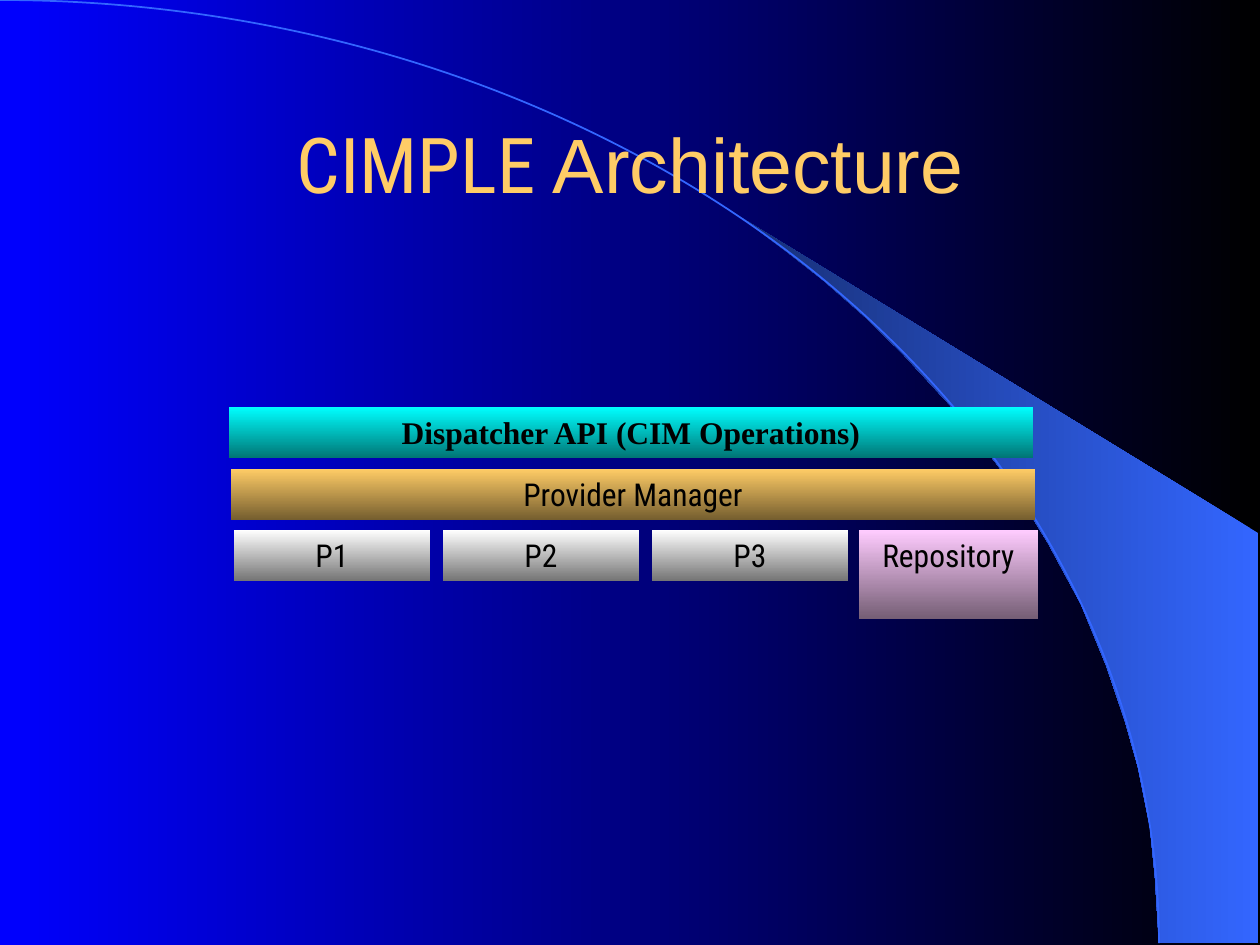
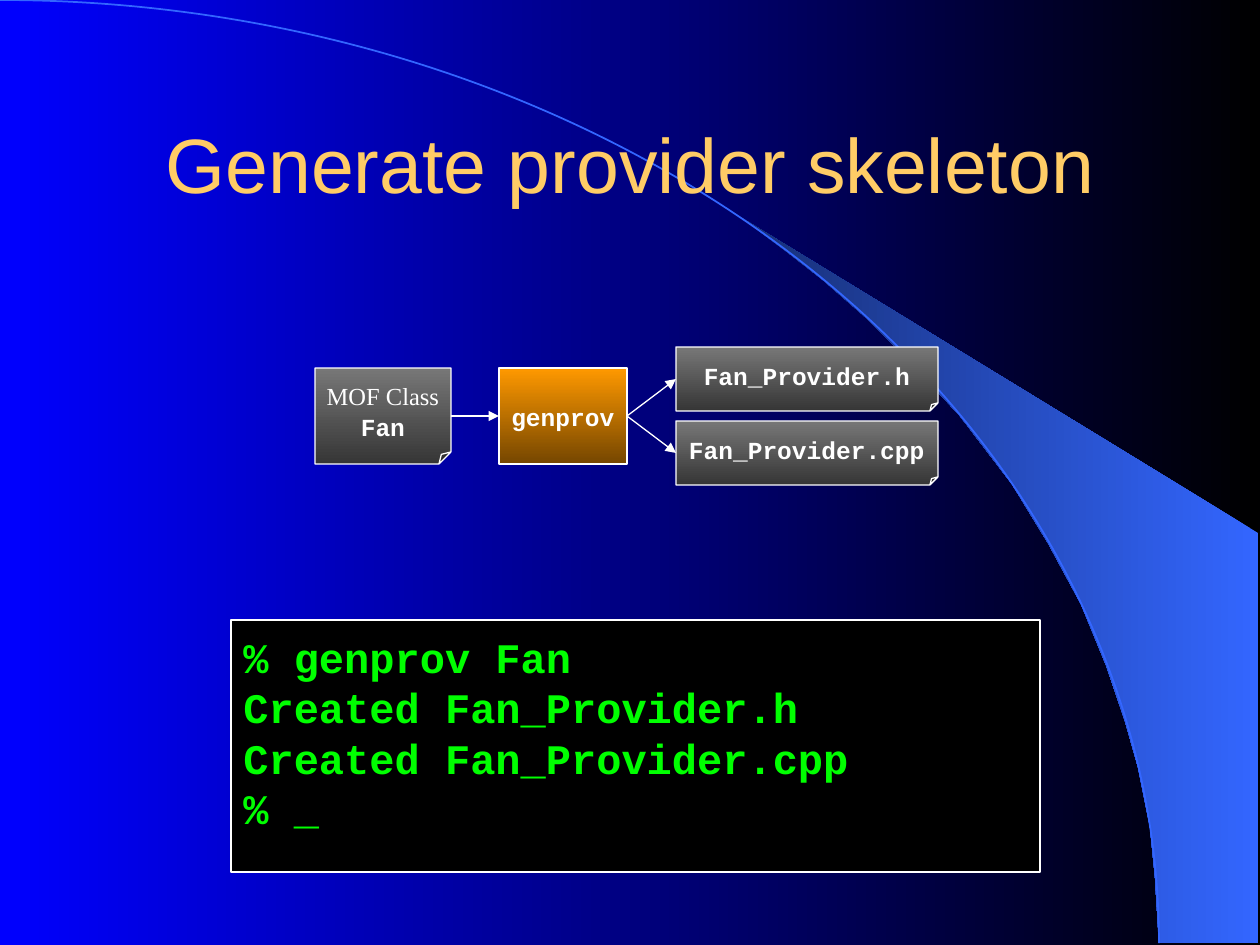
from lxml import etree
from pptx import Presentation
from pptx.dml.color import RGBColor
from pptx.enum.shapes import MSO_CONNECTOR, MSO_SHAPE
from pptx.enum.text import MSO_ANCHOR, PP_ALIGN
from pptx.oxml.ns import qn
from pptx.util import Pt

RECT, FOLDED, ARC = MSO_SHAPE.RECTANGLE, MSO_SHAPE.FOLDED_CORNER, MSO_SHAPE.ARC
STRAIGHT = MSO_CONNECTOR.STRAIGHT
TOP, MIDDLE = MSO_ANCHOR.TOP, MSO_ANCHOR.MIDDLE
LEFT, CENTER = PP_ALIGN.LEFT, PP_ALIGN.CENTER

EMU_PER_PX = 914400 / 126
TITLE_ONLY = 5

SANS, HEADING, SERIF, MONO = "Roboto Condensed", "Arial", "Times New Roman", "Courier New"
BLACK, WHITE, GOLD, BLUE, GREEN = "000000", "FFFFFF", "FFCC66", "3366FF", "00FF00"
FILE_FILL = ("777777", "363636")

# Light wedge between the curve and the right edge
WEDGE = [(1159, 943), (1258, 943), (1258, 533), (742, 218), (786, 251), (823, 280),
         (863, 315), (902, 353), (960, 416), (1012, 484), (1048, 543), (1081, 604),
         (1106, 665), (1125, 721), (1138, 767), (1150, 827), (1155, 877)]


def px(length):
    return round(length * EMU_PER_PX)


def rgb(value):
    return RGBColor.from_string(value)


def paint(fill, colour, angle=270):
    """Fill with one colour, or with a gradient when given a pair."""
    if isinstance(colour, str):
        fill.solid()
        fill.fore_color.rgb = rgb(colour)
        return
    fill.gradient()
    fill.gradient_angle = angle
    for stop, value in zip(fill.gradient_stops, colour):
        stop.color.rgb = rgb(value)


def outline(line, colour, width=0.75):
    line.color.rgb = rgb(colour)
    line.width = Pt(width)


def add_run(paragraph, text, font, size, colour, bold=False):
    run = paragraph.add_run()
    run.text = text
    run.font.name = font
    run.font.size = Pt(size)
    run.font.bold = bold
    run.font.color.rgb = rgb(colour)


def add_box(slide, kind, bounds, fill, lines, size, colour, border=None,
            anchor=MIDDLE, align=CENTER, spacing=None):
    """Draw a labelled box; lines holds (text, font, bold) for each paragraph."""
    box = slide.shapes.add_shape(kind, *map(px, bounds))
    box.shadow.inherit = False
    paint(box.fill, fill)
    if border:
        outline(box.line, border)
    else:
        box.line.fill.background()
    frame = box.text_frame
    frame.word_wrap = False
    frame.vertical_anchor = anchor
    for index, (text, font, bold) in enumerate(lines):
        paragraph = frame.add_paragraph() if index else frame.paragraphs[0]
        paragraph.alignment = align
        if spacing:
            paragraph.line_spacing = Pt(spacing)
        add_run(paragraph, text, font, size, colour, bold)
    return box


def add_layer(slide, bounds, fill, text, font=SANS, bold=False):
    add_box(slide, RECT, bounds, fill, [(text, font, bold)], 18, BLACK, anchor=TOP)


def add_step(slide, kind, bounds, fill, lines):
    step = add_box(slide, kind, bounds, fill, lines, 14, WHITE, WHITE, spacing=17.7)
    if kind == FOLDED:
        geometry = step.element.spPr.find(qn("a:prstGeom"))
        guides = geometry.find(qn("a:avLst"))
        if guides is None:
            guides = etree.SubElement(geometry, qn("a:avLst"))
        etree.SubElement(guides, qn("a:gd"), name="adj", fmla="val 12500")


def add_arrow(slide, start, end):
    arrow = slide.shapes.add_connector(STRAIGHT, *map(px, start + end))
    outline(arrow.line, WHITE)
    properties = arrow.element.spPr
    etree.SubElement(properties.find(qn("a:ln")), qn("a:tailEnd"), type="triangle")
    etree.SubElement(properties, qn("a:effectLst"))


def add_backdrop(slide):
    """Draw the wedge and the curve."""
    corners = [(px(x), px(y)) for x, y in WEDGE]
    builder = slide.shapes.build_freeform(*corners[0], scale=1.0)
    builder.add_line_segments(corners[1:], close=True)
    wedge = builder.convert_to_shape()
    wedge.shadow.inherit = False
    paint(wedge.fill, (BLUE, "172F75"), angle=180)
    wedge.line.fill.background()

    curve = slide.shapes.add_shape(ARC, px(-1159), 0, px(2318), px(1886))
    curve.shadow.inherit = False
    curve.fill.background()
    outline(curve.line, BLUE, 1)


def add_slide(prs, title_runs):
    """Start a slide with the shared backdrop and title style."""
    slide = prs.slides.add_slide(prs.slide_layouts[TITLE_ONLY])
    add_backdrop(slide)
    title = slide.shapes.title
    slide.shapes.element.append(title.element)  # bring above the backdrop
    title.left, title.top, title.width, title.height = map(px, (95, 84, 1071, 158))
    title.text_frame.vertical_anchor = MIDDLE
    paragraph = title.text_frame.paragraphs[0]
    paragraph.alignment = CENTER
    for text, font in title_runs:
        add_run(paragraph, text, font, 44, GOLD)
    return slide


def build_architecture(prs):
    slide = add_slide(prs, [("CIMPLE", SANS), (" Architecture", HEADING)])

    # Providers and repository
    for index in range(3):
        add_layer(slide, (234 + 209 * index, 530, 196, 51), (WHITE, "757575"), f"P{index + 1}")
    add_layer(slide, (859, 530, 179, 89), ("FFCCFF", "755E75"), "Repository")

    # Upper layers
    add_layer(slide, (231, 469, 804, 51), (GOLD, "755E2F"), "Provider Manager")
    add_layer(slide, (229, 407, 804, 51), ("00FFFF", "007575"),
              "Dispatcher API (CIM Operations)", SERIF, True)


def build_skeleton(prs):
    slide = add_slide(prs, [("Generate provider skeleton", HEADING)])

    # Terminal session
    session = ["% genprov Fan", "Created Fan_Provider.h", "Created Fan_Provider.cpp", "% _"]
    terminal = add_box(slide, RECT, (231, 620, 809, 252), BLACK,
                       [(text, MONO, True) for text in session], 24, GREEN, WHITE,
                       anchor=TOP, align=LEFT, spacing=28.7)
    terminal.text_frame.word_wrap = True
    terminal.text_frame.margin_top = px(12)

    # Class, generator and generated files
    add_step(slide, FOLDED, (315, 368, 136, 96), FILE_FILL,
             [("MOF Class", SERIF, False), ("Fan", MONO, True)])
    add_step(slide, RECT, (499, 368, 128, 96), ("FF9900", "754600"), [("genprov", MONO, True)])
    add_arrow(slide, (451, 416), (499, 416))
    for top, extension in ((347, "h"), (421, "cpp")):
        add_step(slide, FOLDED, (676, top, 262, 64), FILE_FILL,
                 [(f"Fan_Provider.{extension}", MONO, True)])
        add_arrow(slide, (627, 416), (676, top + 32))


def main():
    prs = Presentation()
    prs.slide_width, prs.slide_height = px(1260), px(945)
    paint(prs.slide_master.background.fill, (BLACK, "0000FF"), angle=180)
    build_architecture(prs)
    build_skeleton(prs)
    prs.save("out.pptx")


if __name__ == "__main__":
    main()
